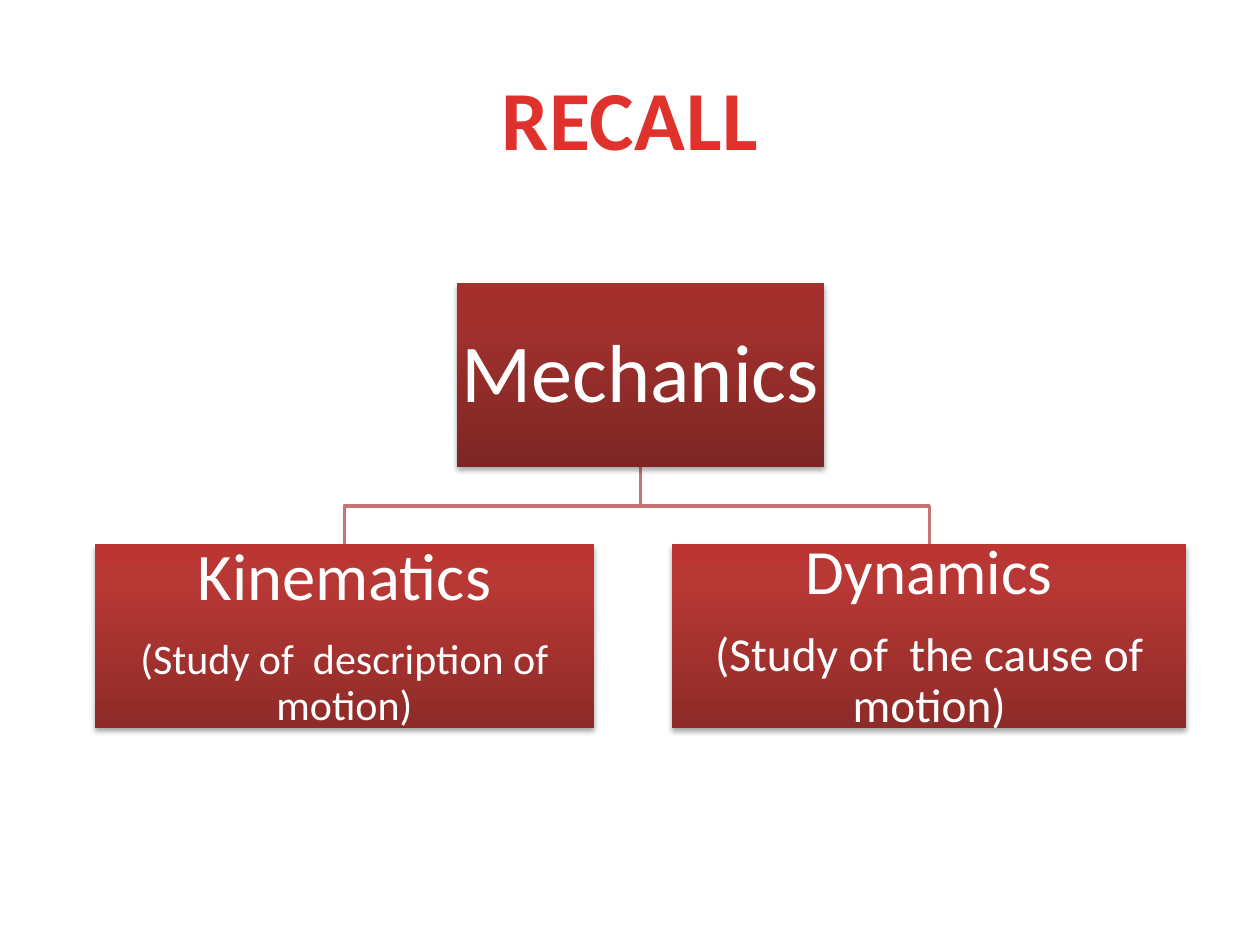
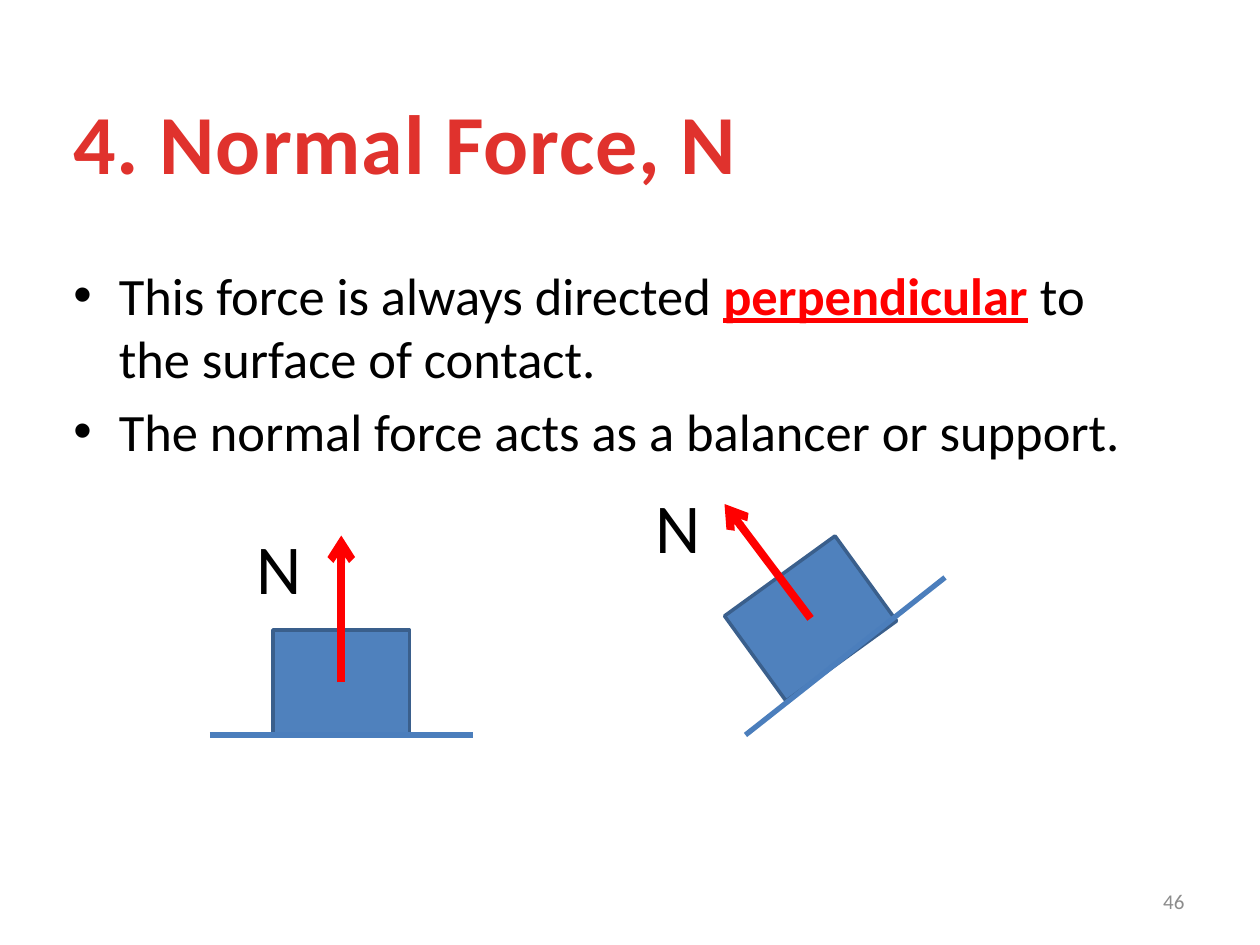
from lxml.etree import SubElement as Sub
from pptx import Presentation
from pptx.dml.color import RGBColor as RGB
from pptx.enum.shapes import MSO_CONNECTOR as CONN, MSO_SHAPE as SHAPE
from pptx.enum.text import MSO_ANCHOR as ANCHOR, PP_ALIGN as ALIGN
from pptx.oxml.ns import qn
from pptx.util import Inches, Pt

COLS, ROWS = 120, 90
W, H = Inches(10), Inches(7.5)
FONT = "Calibri"
C = {
    "title": "E0322D", "text": "000000", "white": "FFFFFF", "muted": "8C8C8C",
    "accent": "FF0000", "branch": "C77472", "block": "4F81BD",
    "block_edge": "3A5F8C", "ground": "4B7EBC", "shadow": "000000",
}
ROOT_GRADIENT = ((0, "7D2624"), (80, "A2312E"), (100, "A52F2C"))
CHILD_GRADIENT = ((0, "8E2B28"), (80, "B83835"), (100, "BB3632"))


def col(n):
    return round(W * n / COLS)


def row(n):
    return round(H * n / ROWS)


def area(x, y, w, h):
    return col(x), row(y), col(w), row(h)


def rgb(name):
    return RGB.from_string(C[name])


def setup(tf, anchor=ANCHOR.TOP, inset=0):
    tf.word_wrap = True
    tf.vertical_anchor = anchor
    tf.margin_left = tf.margin_right = Inches(inset)
    tf.margin_top = tf.margin_bottom = Inches(inset)
    return tf


def textbox(s, box, anchor=ANCHOR.TOP):
    return setup(s.shapes.add_textbox(*area(*box)).text_frame, anchor)


def paragraph(tf, first, align=ALIGN.LEFT):
    p = tf.paragraphs[0] if first else tf.add_paragraph()
    p.alignment = align
    return p


def run(p, text, size, color="text", bold=False, underline=False):
    r = p.add_run()
    r.text = text
    f = r.font
    f.name, f.size, f.bold, f.underline = FONT, Pt(size), bold, underline
    f.color.rgb = rgb(color)
    return r


def title(s, box, text, align):
    p = paragraph(textbox(s, box, ANCHOR.MIDDLE), True, align)
    r = run(p, text, 48, "title", bold=True)
    r.font._element.set("spc", "50")


def page_number(s, box, text):
    x, y, w, h = box
    p = paragraph(textbox(s, (x, y, w - 1.2, h), ANCHOR.MIDDLE), True, ALIGN.RIGHT)
    run(p, text, 12, "muted")


def color_node(parent, value):
    return Sub(parent, qn("a:srgbClr"), val=value)


def gradient(sp, stops):
    sp.fill.gradient()
    sp.fill.gradient_angle = 90
    gs_list = sp._element.spPr.find(".//" + qn("a:gsLst"))
    for gs in list(gs_list):
        gs_list.remove(gs)
    for pos, value in stops:
        color_node(Sub(gs_list, qn("a:gs"), pos=str(pos * 1000)), value)


def soft_shadow(sp):
    sp.shadow.inherit = False
    effects = sp._element.spPr.find(qn("a:effectLst"))
    shadow = Sub(effects, qn("a:outerShdw"), blurRad=str(Pt(3.1)),
                 dist=str(Pt(1.8)), dir="5400000", rotWithShape="0")
    Sub(color_node(shadow, C["shadow"]), qn("a:alpha"), val="35000")


def node(s, box, stops, lines):
    sp = s.shapes.add_shape(SHAPE.RECTANGLE, *area(*box))
    gradient(sp, stops)
    sp.line.fill.background()
    soft_shadow(sp)
    tf = setup(sp.text_frame, ANCHOR.MIDDLE, 0.03)
    for i, (text, size) in enumerate(lines):
        p = paragraph(tf, i == 0, ALIGN.CENTER)
        p.line_spacing = 0.9
        p.space_after = Pt(0.35 * size)
        run(p, text, size, "white")


def branch(s, start, end):
    (x1, y1), (x2, y2) = start, end
    mid = (y1 + y2) / 2
    fb = s.shapes.build_freeform(col(x1), row(y1))
    fb.add_line_segments([(col(x), row(y)) for x, y in ((x1, mid), (x2, mid), (x2, y2))],
                         close=False)
    sp = fb.convert_to_shape()
    sp.fill.background()
    sp.line.color.rgb = rgb("branch")
    sp.line.width = Pt(2)
    sp.shadow.inherit = False


def tree(s, box, root, children):
    x, y, w, h = box
    node_h, root_w = 17.5, 35
    center, child_y = x + w / 2, y + h - node_h
    left_w, right_w = children[0][0], children[1][0]
    lefts = (x, x + w - right_w)
    for left, (width, _) in reversed(list(zip(lefts, children))):
        branch(s, (center, y + node_h), (left + width / 2, child_y))
    node(s, (center - root_w / 2, y, root_w, node_h), ROOT_GRADIENT, root)
    for left, (width, lines) in zip(lefts, children):
        node(s, (left, child_y, width, node_h), CHILD_GRADIENT, lines)


def bullets(s, box, items):
    tf = textbox(s, box)
    for i, runs in enumerate(items):
        p = paragraph(tf, i == 0)
        p.space_before = Pt(6)
        pPr = p._p.get_or_add_pPr()
        pPr.set("marL", str(Inches(0.36)))
        pPr.set("indent", str(-Inches(0.36)))
        Sub(pPr, qn("a:buFont"), typeface="Arial")
        Sub(pPr, qn("a:buChar"), char="•")
        for text, strong in runs:
            run(p, text, 30, "accent" if strong else "text", strong, strong)


def straight(s, start, end, color, width, arrow=False):
    c = s.shapes.add_connector(CONN.STRAIGHT, col(start[0]), row(start[1]),
                               col(end[0]), row(end[1]))
    c.line.color.rgb = rgb(color)
    c.line.width = Pt(width)
    if arrow:
        Sub(c.line._get_or_add_ln(), qn("a:tailEnd"), type="arrow")
    Sub(c._element.spPr, qn("a:effectLst"))


def force_diagram(s, box, turn, ground, tip, label):
    x, y, w, h = box

    def at(point):
        return x + point[0], y + point[1]

    sp = s.shapes.add_shape(SHAPE.RECTANGLE, *area(*box))
    sp.rotation = turn
    sp.fill.solid()
    sp.fill.fore_color.rgb = rgb("block")
    sp.line.color.rgb = rgb("block_edge")
    sp.line.width = Pt(2)
    sp.shadow.inherit = False
    straight(s, at(ground[0]), at(ground[1]), "ground", 3)
    straight(s, at((w / 2, h / 2)), at(tip), "accent", 4.5, arrow=True)
    p = paragraph(textbox(s, (*at(label), 7, 8)), True)
    p.space_before = Pt(8)
    run(p, "N", 40)


def recall_slide(prs):
    s = prs.slides.add_slide(prs.slide_layouts[6])
    title(s, (6, 3.6, 108, 15), "RECALL", ALIGN.CENTER)
    tree(s, (9, 27, 104, 42.35), [("Mechanics", 47)], [
        (47.6, [("Kinematics", 38), ("(Study of  description of motion)", 24)]),
        (49, [("Dynamics", 36), ("(Study of  the cause of motion)", 27)]),
    ])


def normal_force_slide(prs):
    s = prs.slides.add_slide(prs.slide_layouts[6])
    title(s, (7, 8.6, 100.3, 9.7), "4. Normal Force, N", ALIGN.LEFT)
    bullets(s, (7, 25, 100.3, 22), [
        [("This force is always directed ", False), ("perpendicular", True),
         (" to the surface of contact.", False)],
        [("The normal force acts as a balancer or support.", False)],
    ])
    page_number(s, (86, 83.4, 28, 4.8), "46")
    force_diagram(s, (26, 60, 13, 10), 0, ((-6, 10), (19, 10)), (6.5, -9), (-1.6, -10))
    force_diagram(s, (70.7, 53.9, 13, 10), 324.1, ((0.3, 16.1), (19.3, 1.1)),
                  (-1.7, -5.9), (-8.3, -7.9))


def main():
    prs = Presentation()
    prs.slide_width, prs.slide_height = W, H
    recall_slide(prs)
    normal_force_slide(prs)
    prs.save("out.pptx")


if __name__ == "__main__":
    main()
